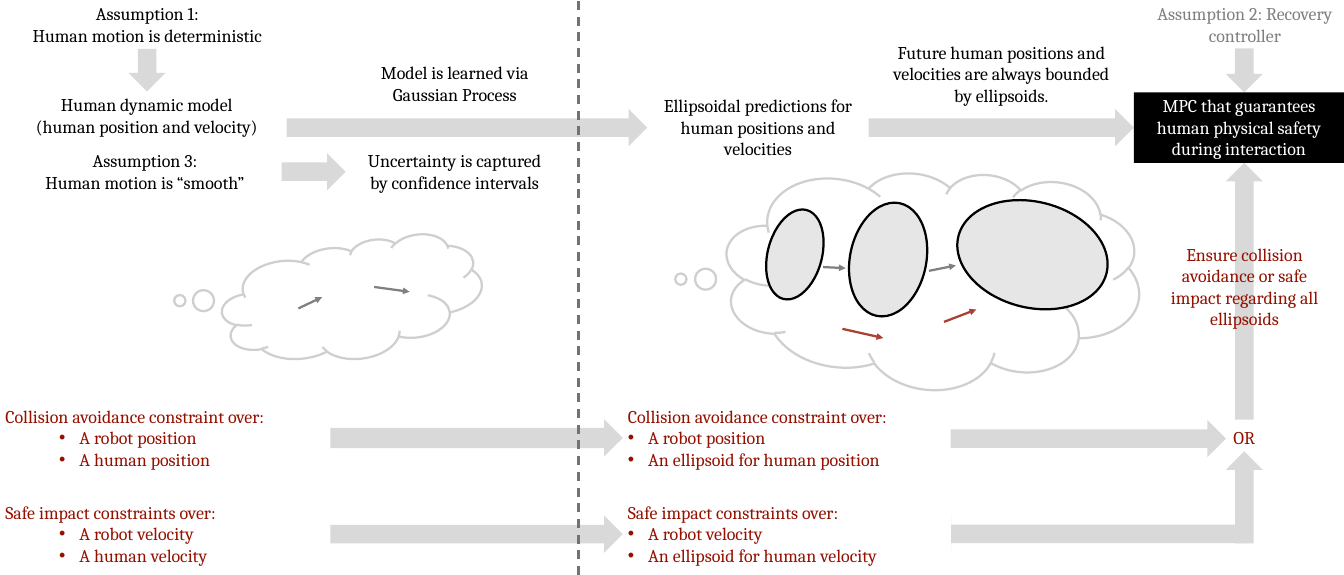
from lxml import etree
from pptx import Presentation
from pptx.dml.color import RGBColor
from pptx.enum.dml import MSO_LINE
from pptx.enum.shapes import MSO_CONNECTOR, MSO_SHAPE
from pptx.enum.text import MSO_ANCHOR, PP_ALIGN
from pptx.oxml.ns import qn
from pptx.util import Inches, Pt

CENTER, LEFT = PP_ALIGN.CENTER, PP_ALIGN.LEFT
DOWN_ARROW, CLOUD, OVAL = MSO_SHAPE.DOWN_ARROW, MSO_SHAPE.CLOUD, MSO_SHAPE.OVAL
RECTANGLE, STRAIGHT, DASH = MSO_SHAPE.RECTANGLE, MSO_CONNECTOR.STRAIGHT, MSO_LINE.DASH
TOP = MSO_ANCHOR.TOP
BLACK, WHITE, GRAY, RED = "000000", "FFFFFF", "808080", "941100"
ARROW_GRAY, CLOUD_GRAY, ELLIPSOID_GRAY, DIVIDER_GRAY = "D9D9D9", "D0CECE", "E7E6E6", "767171"
RIGHT, UP, BACK = 270, 180, 90
ARROW_WIDTH = 0.69


def color(hex_string):
    return RGBColor.from_string(hex_string)


def write(shape, lines, text_color, alignment=CENTER, bullet_margin=None):
    frame = shape.text_frame
    frame.word_wrap = True
    frame.vertical_anchor = TOP
    frame.text = "\n".join(lines)
    for index, para in enumerate(frame.paragraphs):
        para.alignment = alignment
        if bullet_margin and index:
            properties = para._p.get_or_add_pPr()
            properties.set("marL", str(Inches(bullet_margin)))
            properties.set("indent", str(Inches(-0.38)))
            etree.SubElement(properties, qn("a:buFont")).set("typeface", "Arial")
            etree.SubElement(properties, qn("a:buChar")).set("char", "•")
        for span in para.runs:
            span.font.name = "Cambria"
            span.font.size = Pt(24)
            span.font.color.rgb = color(text_color)


deck = Presentation()
deck.slide_width, deck.slide_height = Inches(25), Inches(10.7)
page = deck.slides.add_slide(deck.slide_layouts[6])
shapes = page.shapes

arrows = [
    (2.39, 0.91, 0.79, 0, None),
    (22.8, 0.9, 0.82, 0, None),
    (8.52, 7.22, 5.44, RIGHT, None),
    (8.52, 5.43, 5.44, RIGHT, (0.55, 0.5)),
    (5.49, 2.6, 1.19, RIGHT, None),
    (18.28, -0.09, 4.93, RIGHT, None),
    (22.8, 3.03, 4.78, UP, None),
    (8.34, -0.98, 6.71, RIGHT, None),
    (19.9, 5.6, 5.12, RIGHT, None),
    (22.8, 8.4, 1.71, UP, None),
    (20.1, 7.18, 5.51, BACK, (0.5, 0)),
]
for left, top, length, rotation, adjustments in arrows:
    arrow = shapes.add_shape(DOWN_ARROW, Inches(left), Inches(top), Inches(ARROW_WIDTH), Inches(length))
    arrow.rotation = rotation
    arrow.shadow.inherit = False
    arrow.fill.solid()
    arrow.fill.fore_color.rgb = color(ARROW_GRAY)
    arrow.line.fill.background()
    if adjustments:
        arrow.adjustments[0], arrow.adjustments[1] = adjustments

controller = shapes.add_shape(RECTANGLE, Inches(21.09), Inches(1.72), Inches(3.91), Inches(1.31))
controller.shadow.inherit = False
controller.fill.solid()
controller.fill.fore_color.rgb = color(BLACK)
controller.line.fill.background()
write(controller, ["MPC that guarantees human physical safety during interaction"], WHITE)

labels = [
    (0, 0, 5.48, 0.91, BLACK, ["Assumption 1:", "Human motion is deterministic"]),
    (0.13, 1.7, 5.2, 0.91, BLACK, ["Human dynamic model", "(human position and velocity)"]),
    (0.14, 2.74, 5.11, 0.91, BLACK, ["Assumption 3:", "Human motion is “smooth”"]),
    (6.71, 1.1, 3.5, 0.91, BLACK, ["Model is learned via Gaussian Process"]),
    (6.43, 2.74, 4.05, 0.91, BLACK, ["Uncertainty is captured", "by confidence intervals"]),
    (12.04, 1.72, 4.12, 1.31, BLACK, ["Ellipsoidal predictions for human positions and velocities"]),
    (16.33, 0.72, 4.59, 1.31, BLACK,
     ["Future human positions and velocities are always bounded by ellipsoids."]),
    (21.39, 0, 3.53, 0.91, GRAY, ["Assumption 2: Recovery controller"]),
    (21.53, 4.48, 3.24, 1.72, RED,
     ["Ensure collision avoidance or safe impact regarding all ellipsoids"]),
    (22.67, 7.89, 0.95, 0.5, RED, ["OR"]),
]
for left, top, width, height, text_color, lines in labels:
    box = shapes.add_textbox(Inches(left), Inches(top), Inches(width), Inches(height))
    write(box, lines, text_color)

constraints = [
    (7.49, "Collision avoidance constraint over:", "position"),
    (9.28, "Safe impact constraints over:", "velocity"),
]
columns = [(0, 1.38, "A human"), (11.58, 0.38, "An ellipsoid for human")]
for top, heading, quantity in constraints:
    for left, bullet_margin, subject in columns:
        box = shapes.add_textbox(Inches(left), Inches(top), Inches(6.13), Inches(1.31))
        lines = [heading, f"A robot {quantity}", f"{subject} {quantity}"]
        write(box, lines, RED, LEFT, bullet_margin)

outlines = [
    (CLOUD, 4.12, 4.51, 4.86, 2.17, 353.2, None, CLOUD_GRAY),
    (OVAL, 3.59, 5.4, 0.39, 0.39, 0, WHITE, CLOUD_GRAY),
    (OVAL, 3.24, 5.49, 0.21, 0.21, 0, WHITE, CLOUD_GRAY),
    (CLOUD, 13.49, 3.15, 7.71, 4.09, 5.9, None, CLOUD_GRAY),
    (OVAL, 12.93, 5, 0.39, 0.39, 0, WHITE, CLOUD_GRAY),
    (OVAL, 12.56, 5.09, 0.21, 0.21, 0, WHITE, CLOUD_GRAY),
    (OVAL, 13.93, 4.23, 1.71, 1.01, 104.7, ELLIPSOID_GRAY, BLACK),
    (OVAL, 15.45, 4.12, 2.14, 1.42, 101.4, ELLIPSOID_GRAY, BLACK),
    (OVAL, 18.22, 3.32, 1.97, 2.84, 104.1, ELLIPSOID_GRAY, BLACK),
]
for kind, left, top, width, height, rotation, fill_color, line_color in outlines:
    outline = shapes.add_shape(kind, Inches(left), Inches(top), Inches(width), Inches(height))
    outline.rotation = rotation
    outline.shadow.inherit = False
    if fill_color:
        outline.fill.solid()
        outline.fill.fore_color.rgb = color(fill_color)
    else:
        outline.fill.background()
    outline.line.color.rgb = color(line_color)
    outline.line.width = Pt(3)

connectors = [
    (5.55, 5.74, 5.99, 5.53, GRAY),
    (6.96, 5.34, 7.62, 5.43, GRAY),
    (15.31, 4.97, 15.73, 4.99, GRAY),
    (17.28, 5.04, 17.78, 4.94, GRAY),
    (15.67, 6.12, 16.43, 6.29, RED),
    (17.56, 5.99, 18.16, 5.76, RED),
    (10.76, 10.7, 10.76, 0, DIVIDER_GRAY),
]
for start_x, start_y, end_x, end_y, line_color in connectors:
    connector = shapes.add_connector(
        STRAIGHT, Inches(start_x), Inches(start_y), Inches(end_x), Inches(end_y))
    connector.line.color.rgb = color(line_color)
    connector.line.width = Pt(3)
    properties = connector._element.spPr
    etree.SubElement(properties, qn("a:effectLst"))
    if line_color == DIVIDER_GRAY:
        connector.line.dash_style = DASH
    else:
        line = properties.find(qn("a:ln"))
        etree.SubElement(line, qn("a:tailEnd")).set("type", "triangle")
    if line_color == RED:
        shade = next(properties.iter(qn("a:srgbClr")))
        etree.SubElement(shade, qn("a:alpha")).set("val", "80000")

deck.save("out.pptx")
